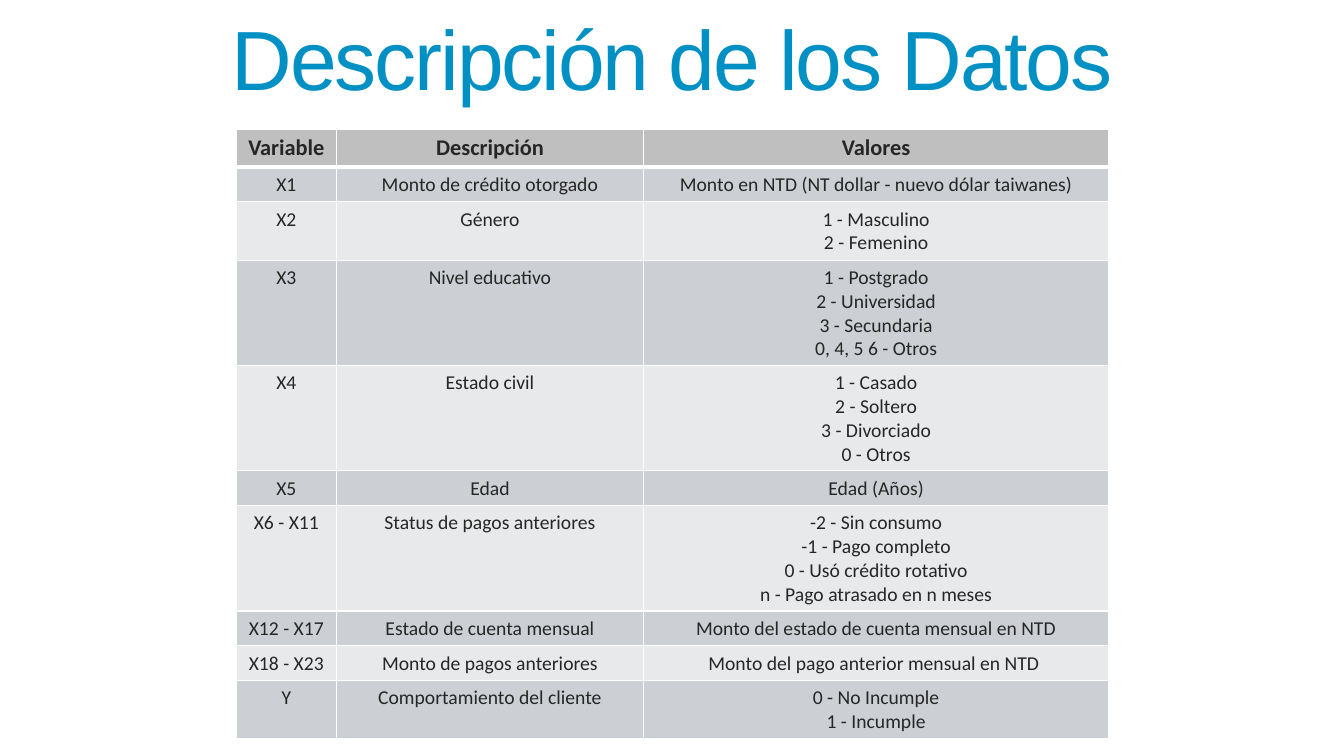
from dataclasses import dataclass

from lxml import etree
from pptx import Presentation
from pptx.dml.color import RGBColor
from pptx.enum.text import MSO_ANCHOR, MSO_AUTO_SIZE, PP_ALIGN
from pptx.oxml.ns import qn
from pptx.util import Inches, Pt

CENTER = PP_ALIGN.CENTER
TOP, BOTTOM = MSO_ANCHOR.TOP, MSO_ANCHOR.BOTTOM
GROW = MSO_AUTO_SIZE.SHAPE_TO_FIT_TEXT


@dataclass(frozen=True)
class Theme:
    title_font: str = "Arial"
    table_font: str = "Calibri"
    title_size: int = 60
    header_size: int = 16
    body_size: int = 14
    title_color: str = "0090C4"
    text_color: str = "262626"
    header_fill: str = "BFBFBF"
    band_fills: tuple = ("CCCFD3", "E7E9EA")
    border_color: str = "FFFFFF"


theme = Theme()


def write_text(frame, text, *, font, size, color, bold=False, spacing=0):
    """Fill a text frame with one centred paragraph per line of text."""
    for index, line in enumerate(text.split("\n")):
        para = frame.paragraphs[0] if index == 0 else frame.add_paragraph()
        para.alignment = CENTER
        span = para.add_run()
        span.text = line
        span.font.name = font
        span.font.size = Pt(size)
        span.font.bold = bold
        span.font.color.rgb = RGBColor.from_string(color)
        if spacing:
            span.font._element.set("spc", str(int(spacing * 100)))


def add_borders(cell, widths):
    """Draw the cell borders; widths maps the line tag to points."""
    properties = cell._tc.get_or_add_tcPr()
    for position, (tag, width) in enumerate(widths.items()):
        line = etree.Element(qn(f"a:{tag}"), w=str(Pt(width)))
        fill = etree.SubElement(line, qn("a:solidFill"))
        etree.SubElement(fill, qn("a:srgbClr"), val=theme.border_color)
        properties.insert(position, line)


# Slide
deck = Presentation()
deck.slide_width, deck.slide_height = Inches(13.33), Inches(7.5)
page = deck.slides.add_slide(deck.slide_layouts[5])

# Title
title = page.shapes.title
title.left, title.top = Inches(1.47), Inches(0)
title.width, title.height = Inches(10.39), Inches(1.11)
title.text_frame.word_wrap = True
title.text_frame.auto_size = GROW
title.text_frame.vertical_anchor = BOTTOM
write_text(title.text_frame, "Descripción de los Datos", font=theme.title_font,
           size=theme.title_size, color=theme.title_color, spacing=-1.5)

# Table content: row height, then the three cells
rows = [
    (0.33, "Variable", "Descripción", "Valores"),
    (0.3, "X1", "Monto de crédito otorgado",
     "Monto en NTD (NT dollar - nuevo dólar taiwanes)"),
    (0.51, "X2", "Género", "1 - Masculino\n2 - Femenino"),
    (0.92, "X3", "Nivel educativo",
     "1 - Postgrado\n2 - Universidad\n3 - Secundaria\n0, 4, 5 6 - Otros"),
    (0.92, "X4", "Estado civil",
     "1 - Casado\n2 - Soltero\n3 - Divorciado\n0 - Otros"),
    (0.3, "X5", "Edad", "Edad (Años)"),
    (0.92, "X6 - X11", "Status de pagos anteriores",
     "-2 - Sin consumo\n-1 - Pago completo\n0 - Usó crédito rotativo\n"
     "n - Pago atrasado en n meses"),
    (0.3, "X12 - X17", "Estado de cuenta mensual",
     "Monto del estado de cuenta mensual en NTD"),
    (0.31, "X18 - X23", "Monto de pagos anteriores",
     "Monto del pago anterior mensual en NTD "),
    (0.51, "Y", "Comportamiento del cliente", "0 - No Incumple\n1 - Incumple"),
]
column_widths = [1, 3.04, 4.62]
cell_margin = Inches(4 / 72)

# Table
table = page.shapes.add_table(
    len(rows), len(column_widths), Inches(2.34), Inches(1.28),
    Inches(sum(column_widths)), Inches(sum(row[0] for row in rows))).table
for column, width in zip(table.columns, column_widths):
    column.width = Inches(width)

for row_index, (height, *texts) in enumerate(rows):
    table.rows[row_index].height = Inches(height)
    is_header = row_index == 0
    fill_color = theme.header_fill if is_header else theme.band_fills[(row_index - 1) % 2]
    borders = {"lnL": 1, "lnR": 1, "lnT": 3 if row_index == 1 else 1,
               "lnB": 3 if is_header else 1}
    for column_index, text in enumerate(texts):
        cell = table.cell(row_index, column_index)
        cell.margin_left = cell.margin_right = cell_margin
        cell.margin_top = cell.margin_bottom = cell_margin
        cell.vertical_anchor = TOP
        cell.fill.solid()
        cell.fill.fore_color.rgb = RGBColor.from_string(fill_color)
        add_borders(cell, borders)
        write_text(cell.text_frame, text, font=theme.table_font,
                   size=theme.header_size if is_header else theme.body_size,
                   color=theme.text_color, bold=is_header)

deck.save("out.pptx")
